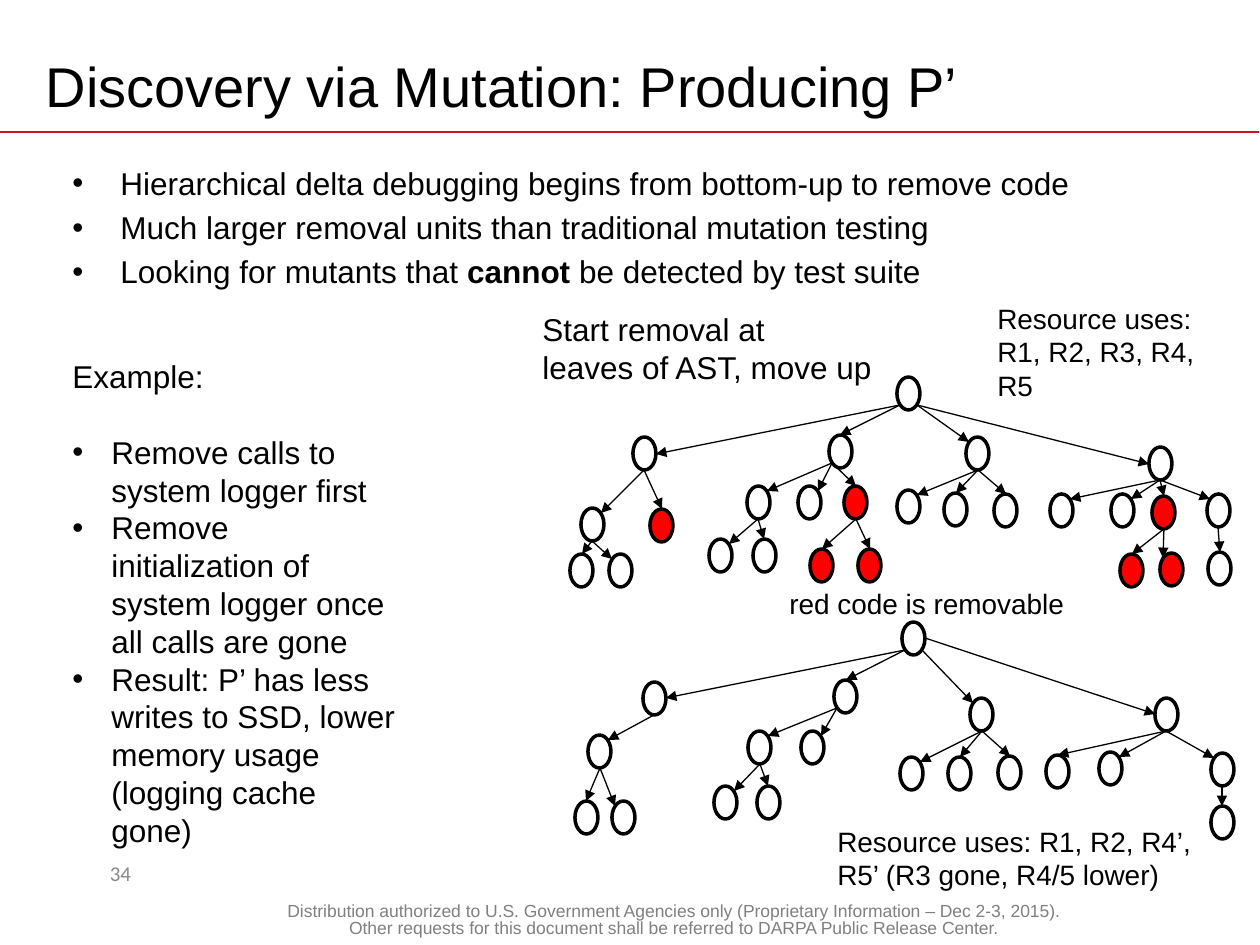
from dataclasses import dataclass

from lxml import etree
from pptx import Presentation
from pptx.dml.color import RGBColor
from pptx.enum.shapes import MSO_CONNECTOR, MSO_SHAPE
from pptx.enum.text import MSO_ANCHOR, MSO_AUTO_SIZE, PP_ALIGN
from pptx.oxml.ns import qn
from pptx.util import Pt

LEFT, CENTER = PP_ALIGN.LEFT, PP_ALIGN.CENTER
ANCHOR_TOP, ANCHOR_MIDDLE = MSO_ANCHOR.TOP, MSO_ANCHOR.MIDDLE
NO_FIT, GROW = MSO_AUTO_SIZE.NONE, MSO_AUTO_SIZE.SHAPE_TO_FIT_TEXT
OVAL, STRAIGHT = MSO_SHAPE.OVAL, MSO_CONNECTOR.STRAIGHT

EMU_PER_PX = 914400 / 126
COLORS = {
    "ink": "000000", "paper": "FFFFFF", "removable": "FF0000",
    "rule": "CE1126", "footer": "808080", "number": "898989",
}
NODE_WIDTH, NODE_HEIGHT = 23, 33
TOP, BOTTOM, SIDE_LEFT, SIDE_RIGHT = (0.5, 0), (0.5, 1), (0, 0.5), (1, 0.5)
TOP_LEFT, TOP_RIGHT = (0.15, 0.15), (0.85, 0.15)
BOTTOM_LEFT, BOTTOM_RIGHT = (0.15, 0.85), (0.85, 0.85)


@dataclass
class Node:
    left: int
    top: int
    entry: tuple = TOP
    children: tuple = ()
    exit: tuple = BOTTOM
    color: str = "paper"

    def site(self, position):
        return (round(self.left + position[0] * NODE_WIDTH),
                round(self.top + position[1] * NODE_HEIGHT))


def red(left, top, entry=TOP, children=()):
    return Node(left, top, entry, children, color="removable")


FULL_TREE = Node(897, 377, children=(
    Node(633, 437, SIDE_RIGHT, (
        Node(581, 508, TOP_RIGHT, (Node(570, 554), Node(609, 554, TOP_LEFT))),
        red(650, 509),
    ), BOTTOM_LEFT),
    Node(829, 435, TOP, (
        Node(747, 486, TOP_RIGHT, (Node(709, 539, TOP_RIGHT), Node(753, 539)), BOTTOM_LEFT),
        Node(798, 486, TOP_RIGHT, exit=BOTTOM_LEFT),
        Node(844, 486, TOP, (red(810, 549), red(858, 549)), BOTTOM_LEFT, "removable"),
    ), BOTTOM_LEFT),
    Node(966, 437, TOP_LEFT, (
        Node(897, 490, TOP_RIGHT), Node(944, 493), Node(994, 494),
    ), BOTTOM_RIGHT),
    Node(1149, 447, SIDE_LEFT, (
        Node(1050, 494, TOP_RIGHT),
        Node(1111, 494, TOP_RIGHT),
        red(1152, 496, TOP, (red(1120, 554), red(1160, 553, TOP_LEFT))),
        Node(1207, 494, TOP_LEFT, (Node(1208, 552),)),
    ), BOTTOM_RIGHT),
))

REDUCED_TREE = Node(902, 622, children=(
    Node(643, 682, SIDE_RIGHT, (
        Node(588, 735, TOP_RIGHT, (Node(575, 801), Node(612, 801, TOP_LEFT))),
    ), BOTTOM_LEFT),
    Node(834, 680, TOP, (
        Node(748, 731, TOP_RIGHT, (Node(714, 786, TOP_RIGHT), Node(757, 786)), BOTTOM_LEFT),
        Node(801, 731, TOP_RIGHT, exit=BOTTOM_LEFT),
    ), BOTTOM_LEFT),
    Node(970, 698, TOP_LEFT, (
        Node(900, 757, TOP_RIGHT), Node(948, 757), Node(998, 756),
    ), BOTTOM_RIGHT),
    Node(1155, 698, SIDE_LEFT, (
        Node(1046, 755),
        Node(1099, 752, TOP_RIGHT),
        Node(1211, 753, TOP_LEFT, (Node(1211, 806),)),
    ), SIDE_RIGHT),
))


def px(*lengths):
    return [round(length * EMU_PER_PX) for length in lengths]


def rgb(name):
    return RGBColor.from_string(COLORS[name])


def write(paragraph, text, size=18, color="ink", font="Arial", align=LEFT,
          before=0, spacing=None, indent=0):
    paragraph.alignment = align
    paragraph.space_before = Pt(before)
    if spacing:
        paragraph.line_spacing = spacing
    if indent:
        properties = paragraph._p.get_or_add_pPr()
        [hang] = px(indent)
        properties.set("marL", str(hang))
        properties.set("indent", str(-hang))
        etree.SubElement(properties, qn("a:buFont"), typeface="Arial")
        etree.SubElement(properties, qn("a:buChar"), char="•")
    for row, line in enumerate(text.split("\n")):
        if row:
            paragraph.add_line_break()
        for index, piece in enumerate(line.split("**")):
            run = paragraph.add_run()
            run.text = piece
            run.font.size = Pt(size)
            run.font.name = font
            run.font.bold = index % 2 == 1
            run.font.color.rgb = rgb(color)


class SlideBuilder:
    def __init__(self, presentation):
        self.slide = presentation.slides.add_slide(presentation.slide_layouts[5])

    def title(self, text, box):
        shape = self.slide.shapes.title
        shape.left, shape.top, shape.width, shape.height = px(*box)
        shape.text_frame.vertical_anchor = ANCHOR_MIDDLE
        write(shape.text_frame.paragraphs[0], text, size=32)

    def text(self, paragraphs, box, anchor=ANCHOR_TOP, wrap=True, **style):
        frame = self.slide.shapes.add_textbox(*px(*box)).text_frame
        frame.word_wrap = wrap
        frame.auto_size = NO_FIT if wrap else GROW
        frame.vertical_anchor = anchor
        for index, (text, own_style) in enumerate(paragraphs):
            paragraph = frame.add_paragraph() if index else frame.paragraphs[0]
            write(paragraph, text, **{**style, **own_style})

    def label(self, text, box, **style):
        self.text([(text, {})], box, **style)

    def line(self, start, end, color="ink", width=0.75, arrow=True):
        connector = self.slide.shapes.add_connector(STRAIGHT, *px(*start, *end))
        connector.line.color.rgb = rgb(color)
        connector.line.width = Pt(width)
        if arrow:
            etree.SubElement(connector.line._get_or_add_ln(), qn("a:tailEnd"), type="triangle")
        etree.SubElement(connector._element.spPr, qn("a:effectLst"))

    def tree(self, node):
        shape = self.slide.shapes.add_shape(
            OVAL, *px(node.left, node.top, NODE_WIDTH, NODE_HEIGHT))
        shape.shadow.inherit = False
        shape.fill.solid()
        shape.fill.fore_color.rgb = rgb(node.color)
        shape.line.color.rgb = rgb("ink")
        shape.line.width = Pt(2)
        for child in node.children:
            self.tree(child)
            self.line(node.site(child.exit), child.site(child.entry))


def main():
    presentation = Presentation()
    presentation.slide_width, presentation.slide_height = px(1260, 945)
    builder = SlideBuilder(presentation)
    builder.line((0, 132), (1259, 132), color="rule", width=1, arrow=False)
    builder.label(
        "Distribution authorized to U.S. Government Agencies only (Proprietary Information "
        "– Dec 2-3, 2015). Other requests for this document shall be referred to DARPA "
        "Public Release Center.",
        (266, 898, 815, 39), size=10, color="footer", align=CENTER, spacing=0.8)
    builder.title("Discovery via Mutation: Producing P’", (33, 38, 1134, 94))
    builder.text([
        ("Hierarchical delta debugging begins from bottom-up to remove code", {}),
        ("Much larger removal units than traditional mutation testing", {"before": 3.6}),
        ("Looking for mutants that **cannot **be detected by test suite", {"before": 3.6}),
    ], (60, 158, 1134, 140), indent=48)
    builder.label("34", (33, 848, 175, 50), anchor=ANCHOR_MIDDLE,
                  size=12, color="number", font="Calibri", align=CENTER)
    builder.tree(FULL_TREE)
    builder.tree(REDUCED_TREE)
    builder.label("Resource uses: R1, R2, R3, R4, R5", (985, 295, 249, 115), size=16)
    builder.label("Resource uses: R1, R2, R4’, R5’ (R3 gone, R4/5 lower)",
                  (825, 818, 404, 81), size=16)
    builder.text([
        ("Example:", {}),
        ("Remove calls to system logger first", {"indent": 39, "before": 21.6}),
        ("Remove initialization of system logger once all calls are gone", {"indent": 39}),
        ("Result: P’ has less writes to SSD, lower memory usage (logging cache gone)",
         {"indent": 39}),
    ], (60, 351, 348, 547))
    builder.label("red code is removable", (777, 580, 304, 47), size=16, wrap=False)
    builder.label("Start removal at\nleaves of AST, move up", (530, 304, 358, 89), wrap=False)
    presentation.save("out.pptx")


if __name__ == "__main__":
    main()
